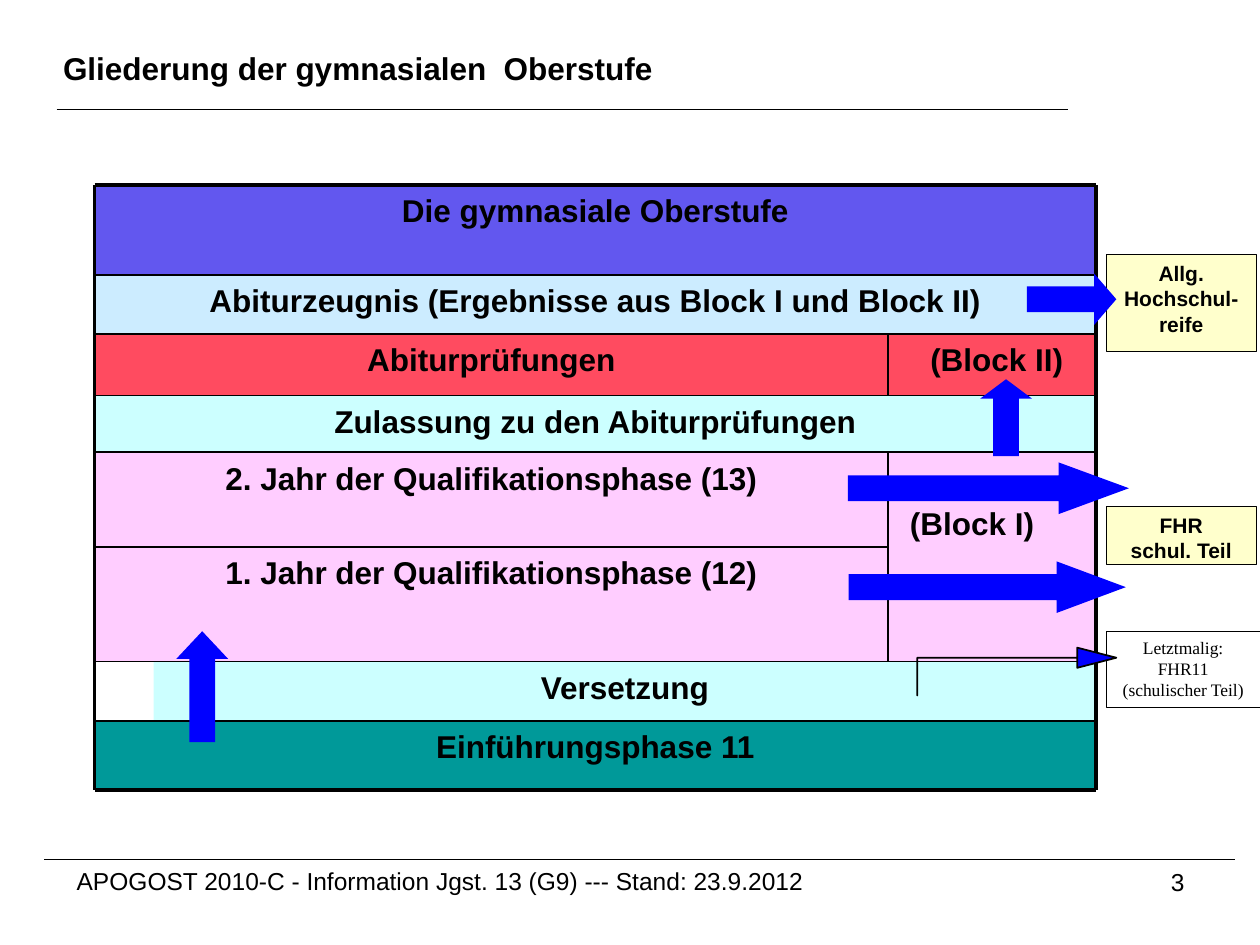
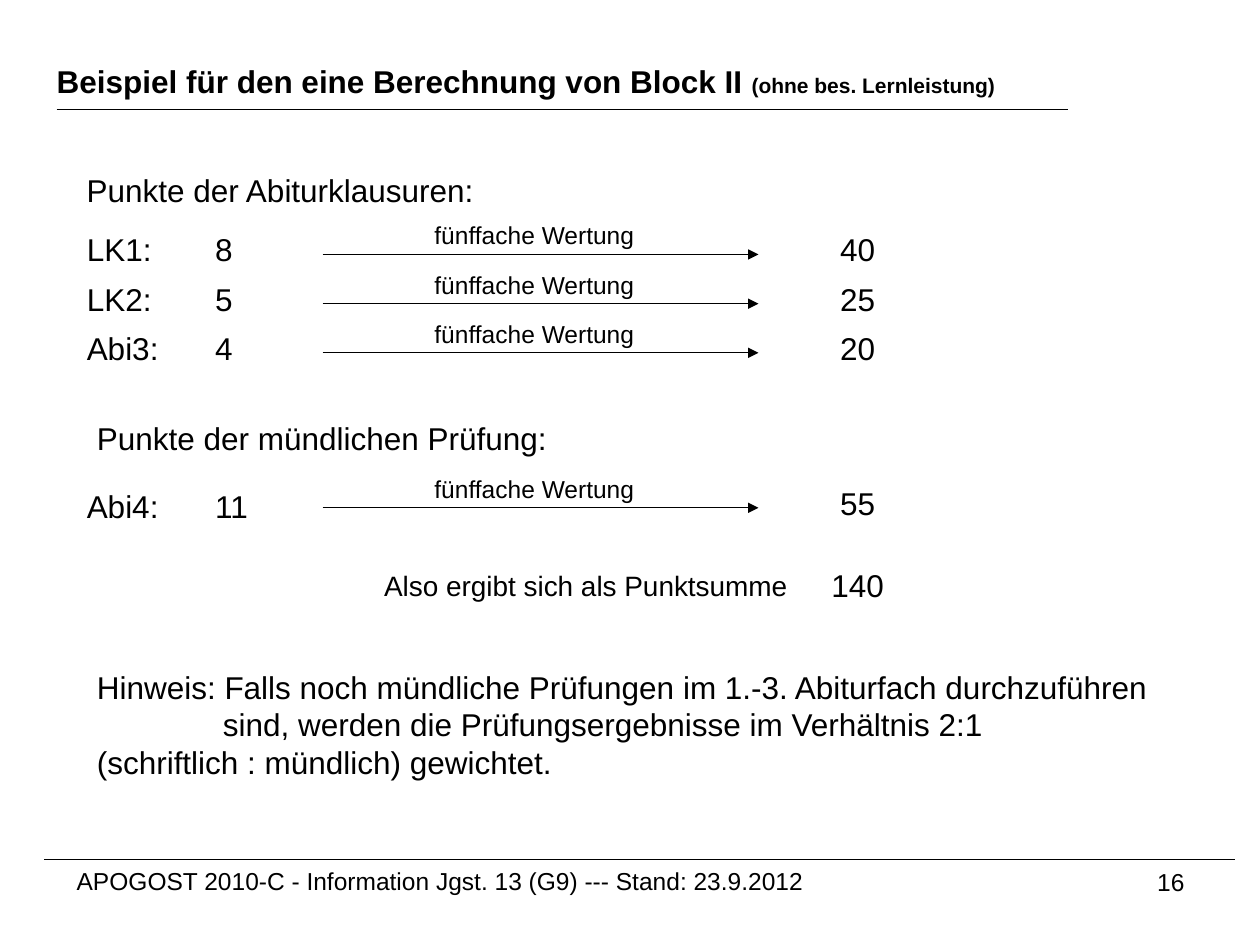
from lxml.etree import SubElement
from pptx import Presentation
from pptx.dml.color import RGBColor
from pptx.enum.shapes import MSO_CONNECTOR, MSO_SHAPE
from pptx.enum.text import MSO_ANCHOR, MSO_AUTO_SIZE, PP_ALIGN
from pptx.oxml.ns import qn
from pptx.util import Inches, Pt

COLORS = {
    "ink": "000000", "violet": "6257EF", "sky": "CCECFF", "red": "FF4B60",
    "aqua": "CCFFFF", "pink": "FFCDFF", "teal": "009999", "cream": "FFFFCC",
    "blue": "0000FF",
}
FRAME = {
    "word_wrap": True,
    "auto_size": MSO_AUTO_SIZE.NONE,
    "vertical_anchor": MSO_ANCHOR.TOP,
}
MARGINS = (0.1, 0.05, 0.1, 0.05)
FOOTER = "APOGOST 2010-C - Information Jgst. 13 (G9) --- Stand: 23.9.2012"
RULES = [(0.35, 6.82, 9.8, 6.82), (0.45, 0.87, 8.48, 0.87)]


def color(name):
    return RGBColor.from_string(COLORS[name])


def inches(*lengths):
    return [Inches(length) for length in lengths]


def set_all(target, values):
    for name, value in values.items():
        setattr(target, name, value)


def format_span(span, size, bold=False, font="Arial"):
    set_all(span.font, {"size": Pt(size), "bold": bold, "name": font})
    span.font.color.rgb = color("ink")


def write(shape, text, size=18, bold=False, font="Arial",
          align=PP_ALIGN.LEFT, margins=MARGINS):
    """Fill a shape with text; each line of it becomes a paragraph."""
    frame = shape.text_frame
    sides = ("margin_left", "margin_top", "margin_right", "margin_bottom")
    set_all(frame, FRAME | dict(zip(sides, inches(*margins))))
    frame.text = text
    for para in frame.paragraphs:
        set_all(para, {"alignment": align, "space_before": Pt(0)})
        for span in para.runs:
            format_span(span, size, bold, font)


def add_text(page, box, text, **style):
    shape = page.shapes.add_textbox(*inches(*box))
    write(shape, text, **style)
    return shape


def paint(shape, fill=None, outline=None):
    shape.shadow.inherit = False
    if fill:
        shape.fill.solid()
        shape.fill.fore_color.rgb = color(fill)
    else:
        shape.fill.background()
    if outline:
        shape.line.color.rgb = color("ink")
        shape.line.width = Pt(outline)
    else:
        shape.line.fill.background()


def add_box(page, box, text, fill=None, outline=None, **style):
    shape = page.shapes.add_shape(MSO_SHAPE.RECTANGLE, *inches(*box))
    paint(shape, fill, outline)
    write(shape, text, align=PP_ALIGN.CENTER, **style)


def add_line(page, ends, width=0.75, arrow=False):
    line = page.shapes.add_connector(MSO_CONNECTOR.STRAIGHT, *inches(*ends))
    line.line.color.rgb = color("ink")
    line.line.width = Pt(width)
    properties = line.element.spPr
    if arrow:
        SubElement(properties.find(qn("a:ln")), qn("a:tailEnd"), type="triangle")
    SubElement(properties, qn("a:effectLst"))
    return line


def add_block_arrow(page, box, head, rotation=0):
    arrow = page.shapes.add_shape(MSO_SHAPE.UP_ARROW, *inches(*box))
    arrow.adjustments[1] = head
    arrow.rotation = rotation
    paint(arrow, "blue")


def add_layout_rules(page):
    """Move the header and footer rules to the layout all pages share."""
    for number, ends in enumerate(RULES, start=20):
        line = add_line(page, ends)
        line.element.nvCxnSpPr.cNvPr.set("id", str(number))
        page.slide_layout.shapes.element.append(line.element)


def add_footer(page, number):
    add_text(page, (0.51, 6.82, 6.53, 0.52), FOOTER, size=14)
    add_text(page, (7.17, 6.83, 2.33, 0.52), number, size=14,
             align=PP_ALIGN.RIGHT)


def add_title(page, box, text, margins=MARGINS):
    title = page.shapes.title
    set_all(title, dict(zip(("left", "top", "width", "height"), inches(*box))))
    write(title, text, bold=True, margins=margins)
    return title


def add_stage_diagram(page, box):
    """Stack the school stages, divided by lines and framed."""
    left, top, width, height = box
    right, bottom, split = left + width, top + height, left + 6.3
    side = right - split
    stages = [  # text, height, fill, left, right, outline
        ("Die gymnasiale Oberstufe", 0.71, "violet", left, right, None),
        ("Abiturzeugnis (Ergebnisse aus Block I und Block II)", 0.47, "sky",
         left, right, None),
        ("Abiturprüfungen", 0.49, "red", left, split, 1),
        ("Zulassung zu den Abiturprüfungen", 0.45, "aqua", left, right, None),
        ("2. Jahr der Qualifikationsphase (13)", 0.75, "pink",
         left, split, None),
        ("1. Jahr der Qualifikationsphase (12)", 0.91, "pink",
         left, split, None),
        ("Versetzung", 0.47, "aqua", left + 0.47, right, None),
        ("Einführungsphase 11", 0.55, "teal", left, right, None),
    ]
    tops = [top]
    for text, tall, fill, start, end, outline in stages:
        add_box(page, (start, tops[-1], end - start, tall), text, fill,
                outline, bold=True)
        tops.append(tops[-1] + tall)
    add_box(page, (split, tops[2], side, tops[3] - tops[2]), "(Block II)",
            "red", 1, bold=True, margins=(0.17, 0.05, 0.1, 0.05))
    add_box(page, (split, tops[4], side, tops[6] - tops[4]), "(Block I)",
            "pink", bold=True, margins=(0.1, 0.41, 0.42, 0.05))

    add_line(page, (split, tops[4], split, tops[6]), 1)
    for row, y in enumerate(tops[1:-1], start=1):
        add_line(page, (left, y, split if row == 5 else right, y), 1)
    for x in (left, right):
        add_line(page, (x, top, x, bottom), 2.25)
    for y in (top, bottom):
        add_line(page, (left, y, right, y), 2.25)


def add_certificate_notes(page, left, top):
    add_box(page, (left, top, 1.19, 0.77), "Allg. Hochschul-reife", "cream",
            0.75, size=12, bold=True)
    add_box(page, (left, top + 2, 1.19, 0.46), "FHR\nschul. Teil", "cream",
            0.75, size=12, bold=True)
    add_box(page, (left, top + 2.99, 1.22, 0.6),
            "Letztmalig:\nFHR11\n(schulischer Teil)", None, 0.25, size=10,
            font="Times New Roman")


def add_bent_arrow(page, left, top):
    """Thin line going up, then right, to a solid arrowhead."""
    neck, tip, middle = left + 1.27, left + 1.58, top + 0.08
    outline = [(neck, top + 0.16), (neck, middle), (left, middle),
               (left, top + 0.38), (left, middle), (neck, middle), (neck, top)]
    builder = page.shapes.build_freeform(*inches(tip, middle), scale=1.0)
    builder.add_line_segments([inches(*point) for point in outline])
    paint(builder.convert_to_shape(), "blue", 1)


def build_structure_page(page):
    add_title(page, (0.5, 0.23, 5.13, 0.47),
              "Gliederung der gymnasialen  Oberstufe", (0, 0.16, 0, 0))
    add_stage_diagram(page, (0.75, 1.47, 7.95, 4.8))
    add_certificate_notes(page, 8.78, 2.02)
    arrows = [
        ((1.4, 5.01, 0.41, 0.88), 0.534, 0),
        ((7.64, 2.76, 0.41, 2.23), 1.361, 90),
        ((7.63, 3.56, 0.41, 2.2), 1.342, 90),
        ((8.3, 2.02, 0.41, 0.71), 0.433, 90),
        ((7.78, 3.01, 0.41, 0.61), 0.375, 0),
    ]
    for arrow in arrows:
        add_block_arrow(page, *arrow)
    add_bent_arrow(page, 7.28, 5.14)
    add_footer(page, "3")


def add_score_row(page, left, top, subject, points, result, drop=0):
    """Show points times five; drop lowers the subject and its points."""
    add_text(page, (left, top + drop, 1.02, 0.4), subject)
    add_text(page, (left + 1.02, top + drop, 0.63, 0.4), points)
    add_line(page, (left + 1.97, top + 0.24, left + 5.43, top + 0.24),
             arrow=True)
    add_text(page, (left + 2.76, top - 0.08, 1.97, 0.34),
             "fünffache Wertung", size=14)
    add_text(page, (left + 5.98, top, 0.71, 0.4), result)


def add_hint(page, box):
    hint = add_text(
        page, box,
        "Hinweis: Falls noch mündliche Prüfungen im 1.-3. Abiturfach durchzuführen\n"
        "sind, werden die Prüfungsergebnisse im Verhältnis 2:1\n"
        "(schriftlich : mündlich) gewichtet.")
    second = hint.text_frame.paragraphs[1]
    second._p.get_or_add_pPr().set("marL", str(Inches(1)))


def build_example_page(page):
    title = add_title(page, (0.35, 0.44, 8.19, 0.4),
                      "Beispiel für den eine Berechnung von Block II ")
    remark = title.text_frame.paragraphs[0].add_run()
    remark.text = "(ohne bes. Lernleistung)"
    format_span(remark, 12, bold=True)

    left = 0.59
    add_text(page, (left, 1.31, 3.6, 0.4), "Punkte der Abiturklausuren:")
    exams = [("LK1:", "8", "40"), ("LK2:", "5", "25"), ("Abi3:", "4", "20")]
    for row, exam in enumerate(exams):
        add_score_row(page, left, 1.78 + 0.39 * row, *exam)
    add_text(page, (0.67, 3.28, 3.86, 0.4), "Punkte der mündlichen Prüfung:")
    add_score_row(page, left, 3.79, "Abi4:", "11", "55", drop=0.03)
    add_text(page, (2.95, 4.46, 3.46, 0.37),
             "Also ergibt sich als Punktsumme", size=16)
    add_text(page, (6.5, 4.44, 0.71, 0.4), "140")
    add_hint(page, (0.67, 5.25, 8.58, 1))
    add_footer(page, "16")


def main():
    deck = Presentation()
    deck.slide_width, deck.slide_height = inches(10, 7.5)
    title_only = deck.slide_layouts[5]
    structure_page = deck.slides.add_slide(title_only)
    add_layout_rules(structure_page)
    build_structure_page(structure_page)
    build_example_page(deck.slides.add_slide(title_only))
    deck.save("out.pptx")


if __name__ == "__main__":
    main()
